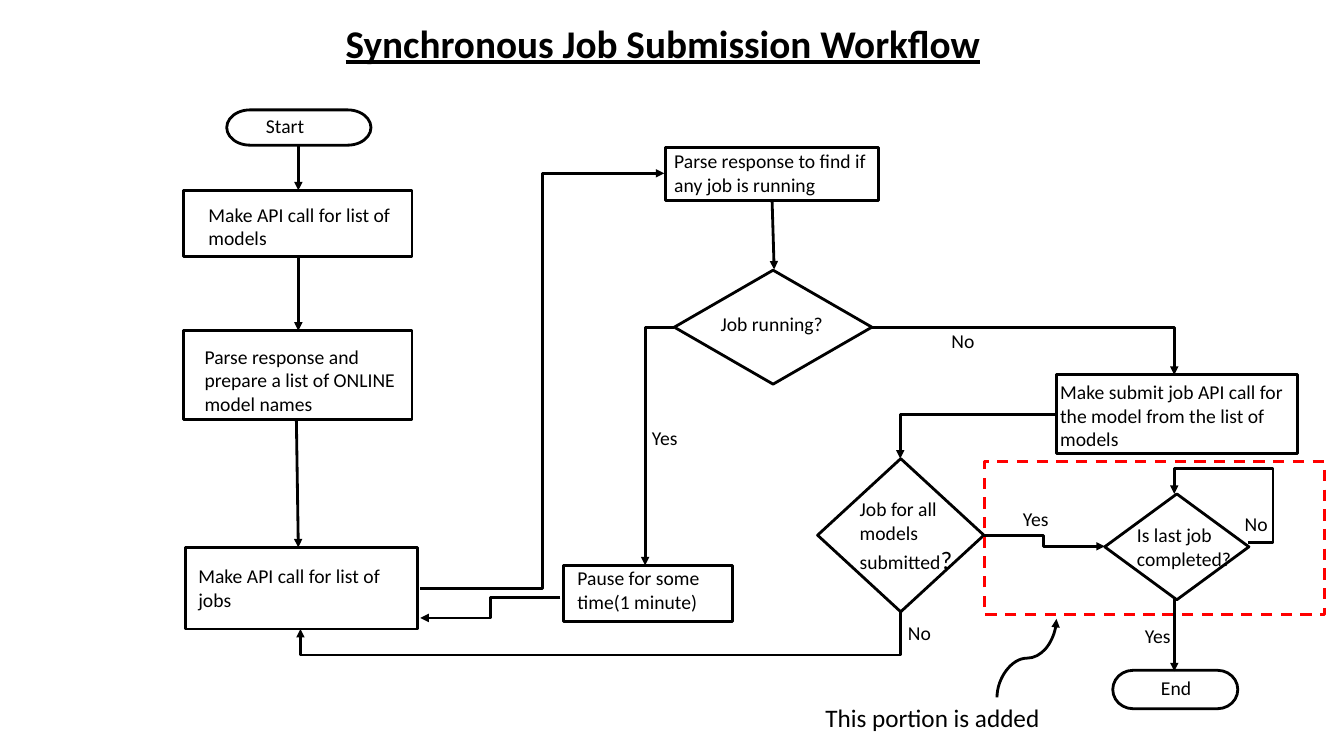
import math
import pptx
import pptx.util
import pptx.dml.color
import pptx.enum.dml
import pptx.enum.shapes
import pptx.enum.text
from lxml import etree

Pt = pptx.util.Pt
RGB = pptx.dml.color.RGBColor
KIND = pptx.enum.shapes.MSO_SHAPE
LINK = pptx.enum.shapes.MSO_CONNECTOR
FIT = pptx.enum.text.MSO_AUTO_SIZE
NS = "{http://schemas.openxmlformats.org/drawingml/2006/main}"
THEME = {
    "font": "Calibri", "ink": RGB(0, 0, 0), "mark": RGB(255, 0, 0),
    "body": 14, "note": 18, "title": 28, "line": 2,
}

deck = pptx.Presentation()
deck.slide_width, deck.slide_height = Pt(960), Pt(540)
slide = deck.slides.add_slide(deck.slide_layouts[6])


def write(text, left, top, width, height, size="body", wrap=True):
    """Add a text box and return its paragraph."""
    box = slide.shapes.add_textbox(Pt(left), Pt(top), Pt(width), Pt(height))
    frame = box.text_frame
    frame.text = text
    frame.word_wrap = wrap
    frame.auto_size = FIT.SHAPE_TO_FIT_TEXT
    font = frame.paragraphs[0].runs[0].font
    font.name, font.size = THEME["font"], Pt(THEME[size])
    font.color.rgb = THEME["ink"]
    return frame.paragraphs[0]


def link(start, end, form="line", turn=0, bends=()):
    """Add an arrow; a turned one is laid out before its rotation."""
    mid_x, mid_y = (start[0] + end[0]) / 2, (start[1] + end[1]) / 2
    cos, sin = math.cos(math.radians(turn)), math.sin(math.radians(turn))
    ends = []
    for x, y in (start, end):
        dx, dy = x - mid_x, y - mid_y
        ends += [Pt(mid_x + dx * cos + dy * sin), Pt(mid_y + dy * cos - dx * sin)]
    arrow = slide.shapes.add_connector(LINK.STRAIGHT, *ends)
    arrow.line.color.rgb = THEME["ink"]
    arrow.line.width = Pt(THEME["line"])
    props = arrow._element.spPr
    if turn:
        props.find(NS + "xfrm").set("rot", str(turn * 60000))
    shape = props.find(NS + "prstGeom")
    shape.set("prst", form)
    guides = shape.find(NS + "avLst")
    for i, bend in enumerate(bends, 1):
        etree.SubElement(guides, NS + "gd", name=f"adj{i}", fmla=f"val {round(bend * 100000)}")
    etree.SubElement(props.find(NS + "ln"), NS + "tailEnd", type="triangle")
    etree.SubElement(props, NS + "effectLst")


# Outlines of the steps, decisions and ends
nodes = [
    (KIND.FLOWCHART_TERMINATOR, 162, 78.5, 103, 25.2),
    (KIND.RECTANGLE, 131, 136, 163.4, 47.5),
    (KIND.RECTANGLE, 131, 236.2, 163.4, 63.4),
    (KIND.RECTANGLE, 132.5, 391, 165.6, 58.3),
    (KIND.RECTANGLE, 475.2, 105.1, 152.6, 38.2),
    (KIND.DIAMOND, 481.7, 193, 141.1, 81.4),
    (KIND.RECTANGLE, 402.5, 403.9, 121, 40.3),
    (KIND.RECTANGLE, 754.6, 267.8, 172, 56.2),
    (KIND.DIAMOND, 584, 327.6, 118.8, 109.4),
    (KIND.DIAMOND, 789.1, 352.8, 103, 75.6),
    (KIND.FLOWCHART_TERMINATOR, 794.9, 478.8, 89.3, 27.4),
    (KIND.RECTANGLE, 703.4, 329.8, 242.6, 109.4),
]
for kind, left, top, width, height in nodes:
    node = slide.shapes.add_shape(kind, Pt(left), Pt(top), Pt(width), Pt(height))
    node.shadow.inherit = False
    node.fill.background()
    node.line.color.rgb = THEME["ink"]
    node.line.width = Pt(THEME["line"])

# The last outline marks the added portion
node.line.color.rgb = THEME["mark"]
node.line.dash_style = pptx.enum.dml.MSO_LINE.DASH

# Arrows
link((213.1, 103.7), (213.1, 136))
link((213.1, 183.6), (213.1, 236.2))
link((211.7, 299.5), (213.1, 391))
link((300.2, 420.5), (474.5, 123.8), "bentConnector3", bends=[0.5])
link((551.5, 142.6), (553, 192.5))
link((481.7, 234), (460.8, 403.9), "bentConnector2", 180)
link((400.3, 427), (300.2, 441.4), "bentConnector3", 180, [0.5])
link((622.8, 234), (838.8, 267.8), "bentConnector2")
link((754.6, 295.9), (643, 327.6), "bentConnector2", 180)
link((643, 437), (214.6, 449.3), "bentConnector3", 90, [2.51])
link((702, 382.3), (789.1, 390.2), "bentConnector3", bends=[0.5])
link((891.4, 387.4), (838.8, 352.8), "bentConnector4", bends=[-0.34, 1.52])
link((838.8, 426.2), (838.8, 479.5))
link((712.1, 498.2), (754.6, 442.1), "curvedConnector3", 90)

# Wording of the nodes
for label in [
    ("Start", 182.9, 77.8, 70.6, 24.5),
    ("Make API call for list of models", 141.8, 141.1, 152.6, 41),
    ("Parse response and prepare a list of ONLINE model names", 139, 242.6, 152.6, 58.3),
    ("Make API call for list of jobs", 134.6, 399.6, 165.6, 41),
    ("Parse response to find if any job is running", 474.5, 103, 162, 41),
    ("Job running?", 507.6, 219.6, 121, 24.5),
    ("Pause for some time(1 minute)", 405.4, 401, 132.5, 41),
    ("Make submit job API call for the model from the list of models", 750.2, 267.8, 176.4, 58.3),
    ("Is last job completed?", 805, 370.1, 88.6, 41),
    ("End", 822.2, 479.5, 70.6, 24.5),
]:
    write(*label)

para = write("Job for all models submitted", 607, 351.4, 81.4, 63.4)
query = para.add_run()
query.text = "?"
query.font.name, query.font.size = THEME["font"], Pt(THEME["note"])
query.font.color.rgb = THEME["ink"]

# Branch labels
for left, top, width in [(458.6, 301, 40.3), (723.6, 358.6, 46.8), (810.7, 442.1, 46.8)]:
    write("Yes", left, top, width, 24.5)
for left, top in [(672.5, 231.1), (641.5, 440), (882, 362.2)]:
    write("No", left, top, 31, 24.5, wrap=False)

# Title and note
title = write("Synchronous Job Submission Workflow", 239.8, 10.1, 472.3, 41, "title", False)
title.runs[0].font.bold = title.runs[0].font.underline = True
write("This portion is added", 582.5, 498.2, 169.2, 28.8, "note", False)

deck.save("out.pptx")
